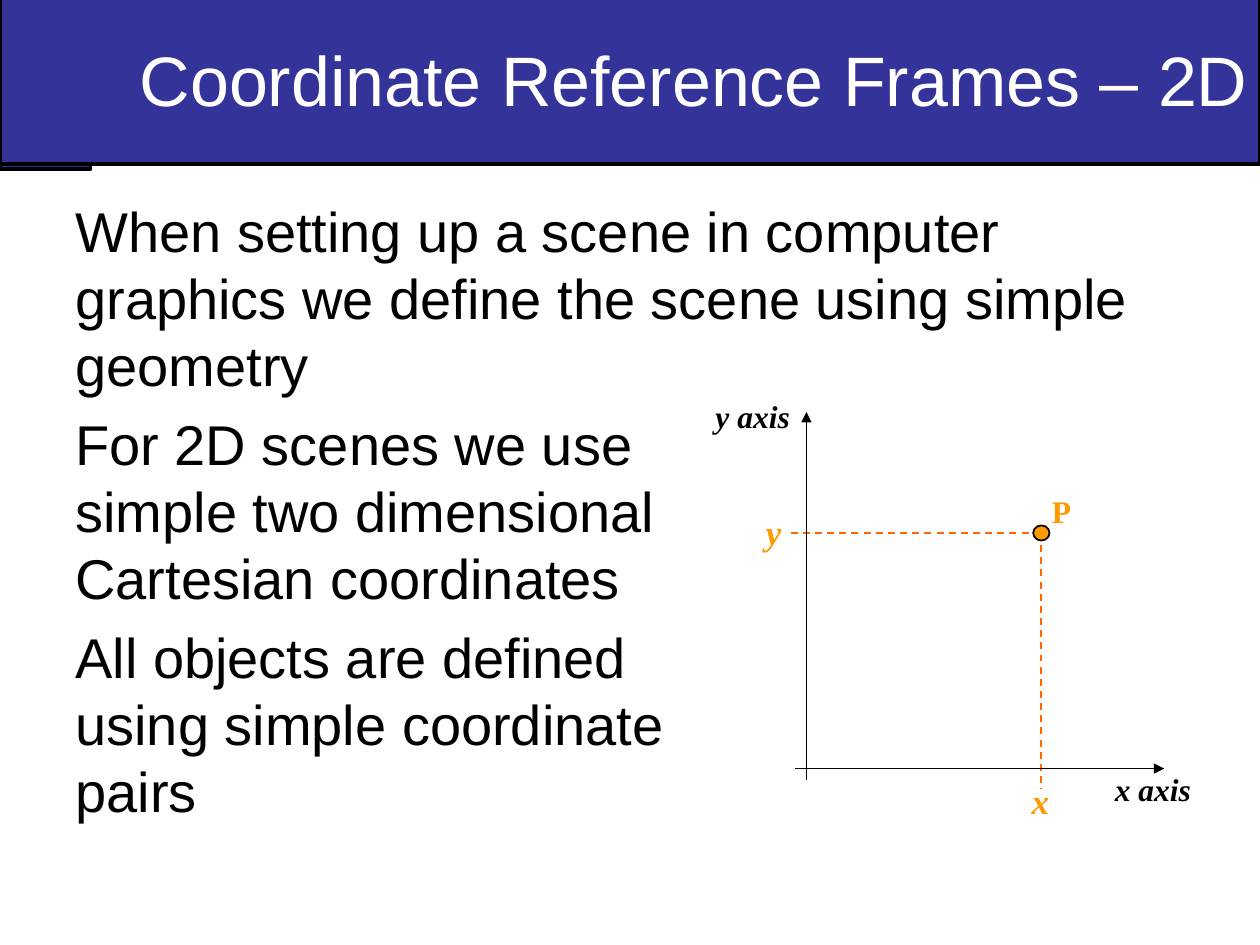
import pptx
import pptx.dml.color
import pptx.enum.dml
import pptx.enum.shapes
import pptx.enum.text
import pptx.oxml
import pptx.oxml.ns
import pptx.util

RGBColor = pptx.dml.color.RGBColor
BLUE = RGBColor(0x33, 0x33, 0x99)
BLACK = RGBColor(0, 0, 0)
WHITE = RGBColor(0xFF, 0xFF, 0xFF)
AMBER = RGBColor(0xFF, 0x99, 0x00)
ORANGE = RGBColor(0xFF, 0x66, 0x00)

WIDTH, HEIGHT = pptx.util.Inches(10), pptx.util.Inches(7.5)
COLS, ROWS = 100, 75

ORIGIN = (64, 61)
POINT = (82.6, 42.3)

BODY = [
    "When setting up a scene in computer graphics we define the scene using simple geometry",
    "For 2D scenes we use\vsimple two dimensional\vCartesian coordinates",
    "All objects are defined\vusing simple coordinate\vpairs",
]
AXIS_FONT = dict(name="Times New Roman", size=pptx.util.Pt(18), bold=True, italic=True)
POINT_FONT = dict(AXIS_FONT, italic=False)
VALUE_FONT = dict(AXIS_FONT, size=pptx.util.Pt(20))
LABELS = [
    ("x axis", (87.5, 60.6, 8.1, 4), AXIS_FONT, BLACK),
    ("y axis", (55.8, 31, 7.9, 4), AXIS_FONT, BLACK),
    ("P", (82.5, 38.6, 3.5, 4), POINT_FONT, AMBER),
    ("y", (59.8, 40, 3.2, 4.3), VALUE_FONT, AMBER),
    ("x", (80.9, 61.4, 3.4, 4.3), VALUE_FONT, AMBER),
]


def grid(*values):
    """Turn alternating columns and rows into slide lengths."""
    units = (WIDTH / COLS, HEIGHT / ROWS)
    return [round(v * units[i % 2]) for i, v in enumerate(values)]


def set_font(font, values, color):
    for key, value in values.items():
        setattr(font, key, value)
    font.color.rgb = color


def paint(sp, fill, weight):
    """Give a shape its solid fill and black outline."""
    sp.fill.solid()
    sp.fill.fore_color.rgb = fill
    sp.line.color.rgb = BLACK
    sp.line.width = pptx.util.Pt(weight)


def add_filled_shape(s, kind, box, fill, weight):
    sp = s.shapes.add_shape(kind, *grid(*box))
    sp.shadow.inherit = False
    paint(sp, fill, weight)
    return sp


def add_title(s, text):
    sp = s.shapes.title
    sp.left, sp.top, sp.width, sp.height = grid(0, -0.5, 100, 13.5)
    paint(sp, BLUE, 2)
    tf = sp.text_frame
    tf.text = text
    tf.auto_size = pptx.enum.text.MSO_AUTO_SIZE.NONE
    tf.vertical_anchor = pptx.enum.text.MSO_ANCHOR.MIDDLE
    p = tf.paragraphs[0]
    p.alignment = pptx.enum.text.PP_ALIGN.RIGHT
    set_font(p.font, dict(name="Arial", size=pptx.util.Pt(40)), WHITE)
    tab = add_filled_shape(s, pptx.enum.shapes.MSO_SHAPE.RECTANGLE,
                           (0, 0, 7.2, 13.4), BLUE, 2)
    sp.element.addprevious(tab.element)


def add_body(s, paragraphs):
    tf = s.shapes.add_textbox(*grid(5, 14.6, 90, 60.4)).text_frame
    tf.word_wrap = True
    tf.margin_top = pptx.util.Inches(0.1)
    for i, text in enumerate(paragraphs):
        p = tf.add_paragraph() if i else tf.paragraphs[0]
        p.text = text
        p.space_before = pptx.util.Pt(6.4 if i else 0)
        set_font(p.font, dict(name="Arial", size=pptx.util.Pt(32)), BLACK)


def add_label(s, text, box, font, color):
    tf = s.shapes.add_textbox(*grid(*box)).text_frame
    tf.word_wrap = False
    tf.auto_size = pptx.enum.text.MSO_AUTO_SIZE.SHAPE_TO_FIT_TEXT
    p = tf.paragraphs[0]
    r = p.add_run()
    r.text = text
    set_font(r.font, font, color)


def add_line(s, start, end, color):
    line = s.shapes.add_connector(pptx.enum.shapes.MSO_CONNECTOR.STRAIGHT,
                                  *grid(*start, *end))
    line.line.color.rgb = color
    line.line.width = pptx.util.Pt(1)
    line.element.spPr.append(pptx.oxml.parse_xml(
        f"<a:effectLst {pptx.oxml.ns.nsdecls('a')}/>"))
    return line


def add_guide(s, start, end):
    line = add_line(s, start, end, ORANGE)
    line.line.dash_style = pptx.enum.dml.MSO_LINE.DASH


def add_axis(s, start, end):
    line = add_line(s, start, end, BLACK)
    line.line.fill.solid()
    line.line.color.rgb = BLACK
    line.element.spPr.find(pptx.oxml.ns.qn("a:ln")).append(pptx.oxml.parse_xml(
        f"<a:tailEnd {pptx.oxml.ns.nsdecls('a')} type='triangle'/>"))


def add_coordinate_frame(s):
    (ox, oy), (px, py) = ORIGIN, POINT
    add_guide(s, POINT, (px, 62.6))
    add_guide(s, POINT, (62.5, py))
    add_axis(s, (ox, oy + 0.9), (ox, 32.7))
    add_axis(s, (ox - 0.9, oy), (92.4, oy))
    for label in LABELS:
        add_label(s, *label)
    add_filled_shape(s, pptx.enum.shapes.MSO_SHAPE.OVAL,
                     (px - 0.6, py - 0.6, 1.3, 1.2), AMBER, 1)


def main():
    prs = pptx.Presentation()
    prs.slide_width, prs.slide_height = WIDTH, HEIGHT
    s = prs.slides.add_slide(prs.slide_layouts[5])
    add_title(s, "Coordinate Reference Frames – 2D")
    add_body(s, BODY)
    add_coordinate_frame(s)
    prs.save("out.pptx")


if __name__ == "__main__":
    main()
